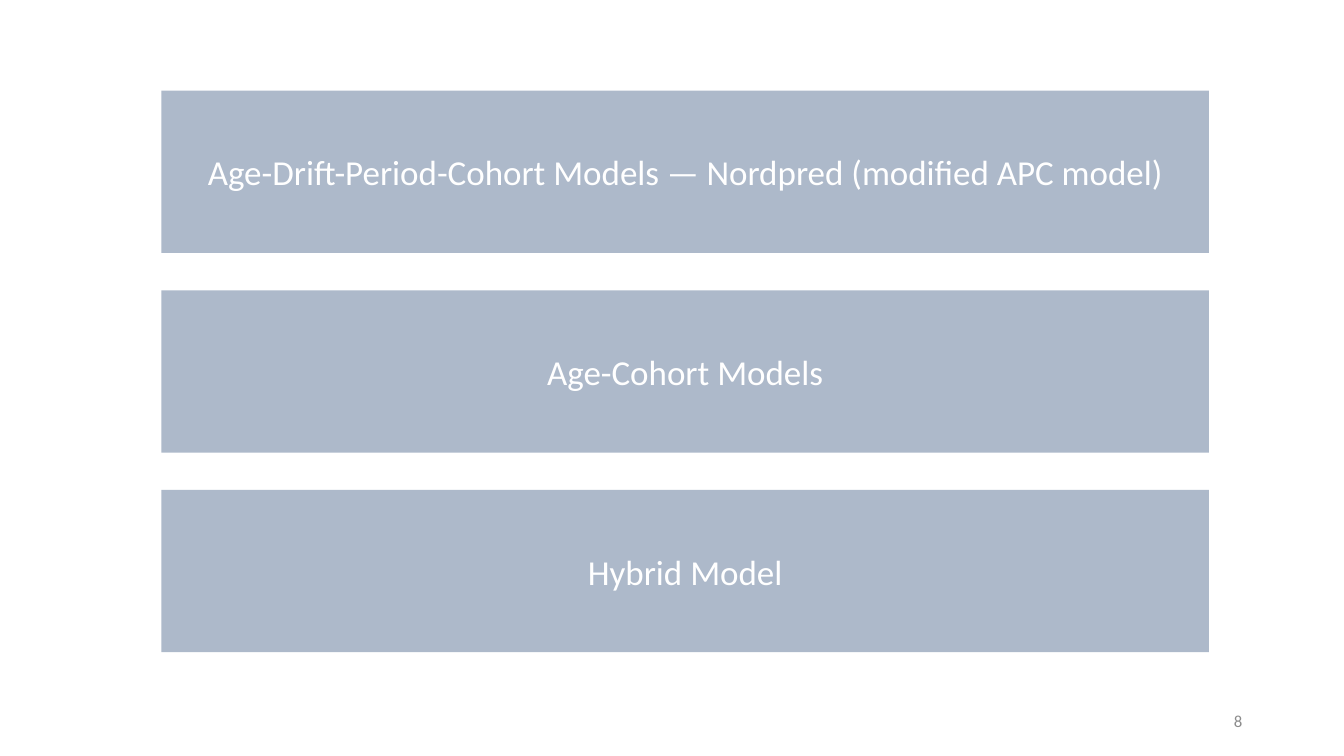
import pptx
import pptx.util
import pptx.dml.color
import pptx.enum.shapes
import pptx.enum.text

Inches = pptx.util.Inches
COLORS = {"band": "ADB9CA", "band_text": "FFFFFF", "number": "8C8C8C"}
MODELS = [
    "Age-Drift-Period-Cohort Models — Nordpred (modified APC model)",
    "Age-Cohort Models",
    "Hybrid Model",
]


def rgb(name):
    return pptx.dml.color.RGBColor.from_string(COLORS[name])


def write(sp, text, size, color, align):
    tf = sp.text_frame
    tf.word_wrap = True
    tf.vertical_anchor = pptx.enum.text.MSO_ANCHOR.MIDDLE
    p = tf.paragraphs[0]
    p.text = text
    p.alignment = align
    p.font.name = "Calibri"
    p.font.size = pptx.util.Pt(size)
    p.font.color.rgb = rgb(color)


def add_bands(s, models, left, top, width, height, gap):
    band_height = (height - gap * (len(models) - 1)) / len(models)
    for i, model in enumerate(models):
        sp = s.shapes.add_shape(
            pptx.enum.shapes.MSO_SHAPE.RECTANGLE,
            Inches(left), Inches(top + i * (band_height + gap)),
            Inches(width), Inches(band_height))
        sp.shadow.inherit = False
        sp.fill.solid()
        sp.fill.fore_color.rgb = rgb("band")
        sp.line.fill.background()
        write(sp, model, 25, "band_text", pptx.enum.text.PP_ALIGN.CENTER)


def add_page_number(s, number, left, top, width, height):
    sp = s.shapes.add_textbox(
        Inches(left), Inches(top), Inches(width), Inches(height))
    write(sp, number, 12, "number", pptx.enum.text.PP_ALIGN.RIGHT)


def main():
    prs = pptx.Presentation()
    prs.slide_width = Inches(13.33)
    prs.slide_height = Inches(7.5)
    s = prs.slides.add_slide(prs.slide_layouts[6])
    add_bands(s, MODELS, 1.6, 0.9, 10.39, 5.57, 0.37)
    add_page_number(s, "8", 9.42, 6.95, 3, 0.4)
    prs.save("out.pptx")


if __name__ == "__main__":
    main()
